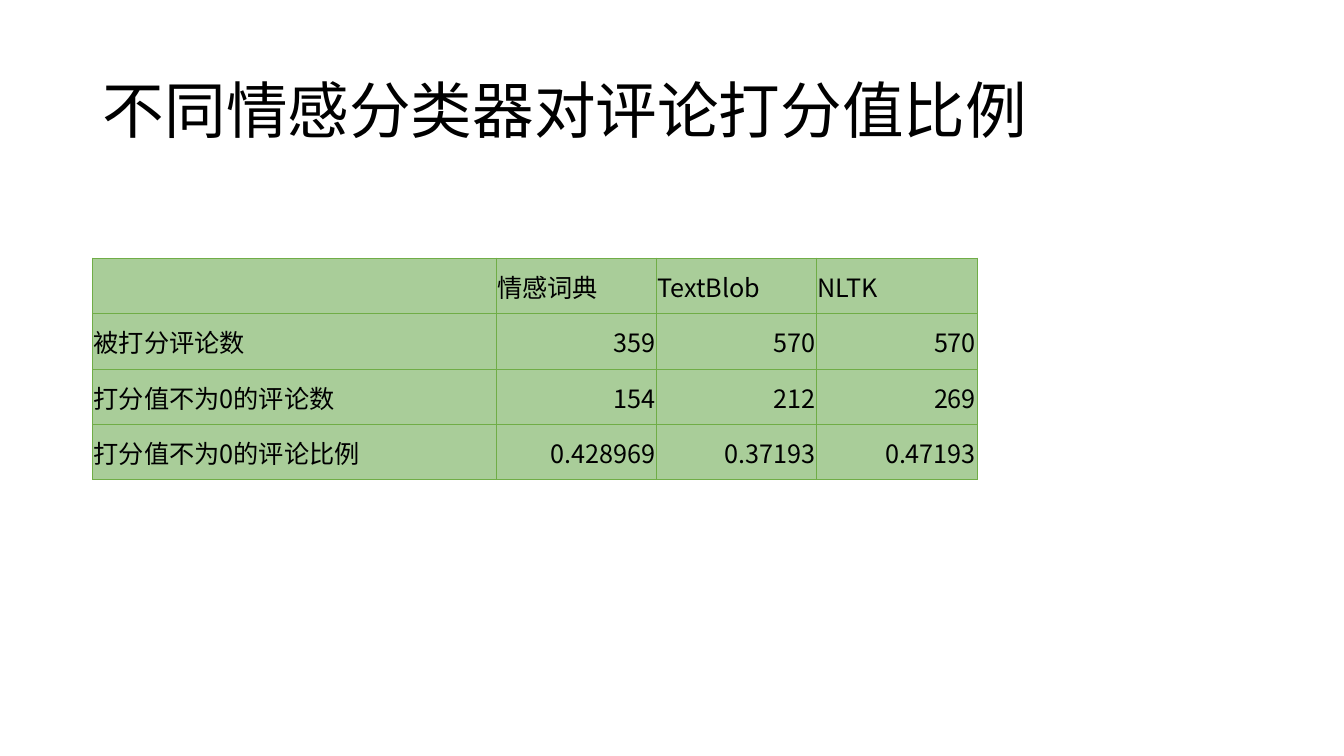
from lxml.etree import SubElement
from pptx import Presentation
from pptx.dml.color import RGBColor
from pptx.enum.text import MSO_ANCHOR as Anchor, PP_ALIGN as Align
from pptx.oxml.ns import qn
from pptx.util import Inches, Pt

FONT = "Noto Sans CJK SC"


def color(value):
    return RGBColor.from_string(value)


def write(paragraph, text, size, alignment):
    paragraph.alignment = alignment
    run = paragraph.add_run()
    run.text = text
    font_format = {"name": FONT, "size": Pt(size), "bold": False}
    for name, value in font_format.items():
        setattr(run.font, name, value)
    run.font.color.rgb = color("000000")
    SubElement(run.font._element, qn("a:ea"), typeface=FONT)


presentation = Presentation()
presentation.slide_width = Inches(13.33)
presentation.slide_height = Inches(7.5)
slide = presentation.slides.add_slide(presentation.slide_layouts[5])

title = slide.shapes.title
title_box = {"left": 0.92, "top": 0.4, "width": 11.5, "height": 1.45}
for name, value in title_box.items():
    setattr(title, name, Inches(value))
title.text_frame.vertical_anchor = Anchor.MIDDLE
title_paragraph = title.text_frame.paragraphs[0]
title_paragraph.line_spacing = 0.9
write(title_paragraph, "不同情感分类器对评论打分值比例", 44, Align.LEFT)

scores = [
    ["", "情感词典", "TextBlob", "NLTK"],
    ["被打分评论数", "359", "570", "570"],
    ["打分值不为0的评论数", "154", "212", "269"],
    ["打分值不为0的评论比例", "0.428969", "0.37193", "0.47193"],
]
column_widths = [4] + [1.59] * 3
table = slide.shapes.add_table(
    len(scores), len(column_widths),
    Inches(0.92), Inches(2.56), Inches(sum(column_widths)), Inches(2.2),
).table
for column, width in zip(table.columns, column_widths):
    column.width = Inches(width)

cell_format = {
    "margin_left": Inches(0.01),
    "margin_right": Inches(0.01),
    "margin_top": Inches(0.01),
    "margin_bottom": 0,
    "vertical_anchor": Anchor.MIDDLE,
}
for row_index, row in enumerate(scores):
    for column_index, text in enumerate(row):
        cell = table.cell(row_index, column_index)
        for name, value in cell_format.items():
            setattr(cell, name, value)
        properties = cell._tc.get_or_add_tcPr()
        for side in ("lnL", "lnR", "lnT", "lnB"):
            border = SubElement(properties, qn(f"a:{side}"), w=str(Pt(0.5)))
            border_fill = SubElement(border, qn("a:solidFill"))
            SubElement(border_fill, qn("a:srgbClr"), val="70AD47")
        cell.fill.solid()
        cell.fill.fore_color.rgb = color("A9CD99")
        if text:
            is_number = row_index > 0 and column_index > 0
            alignment = Align.RIGHT if is_number else Align.LEFT
            write(cell.text_frame.paragraphs[0], text, 18, alignment)

presentation.save("out.pptx")
